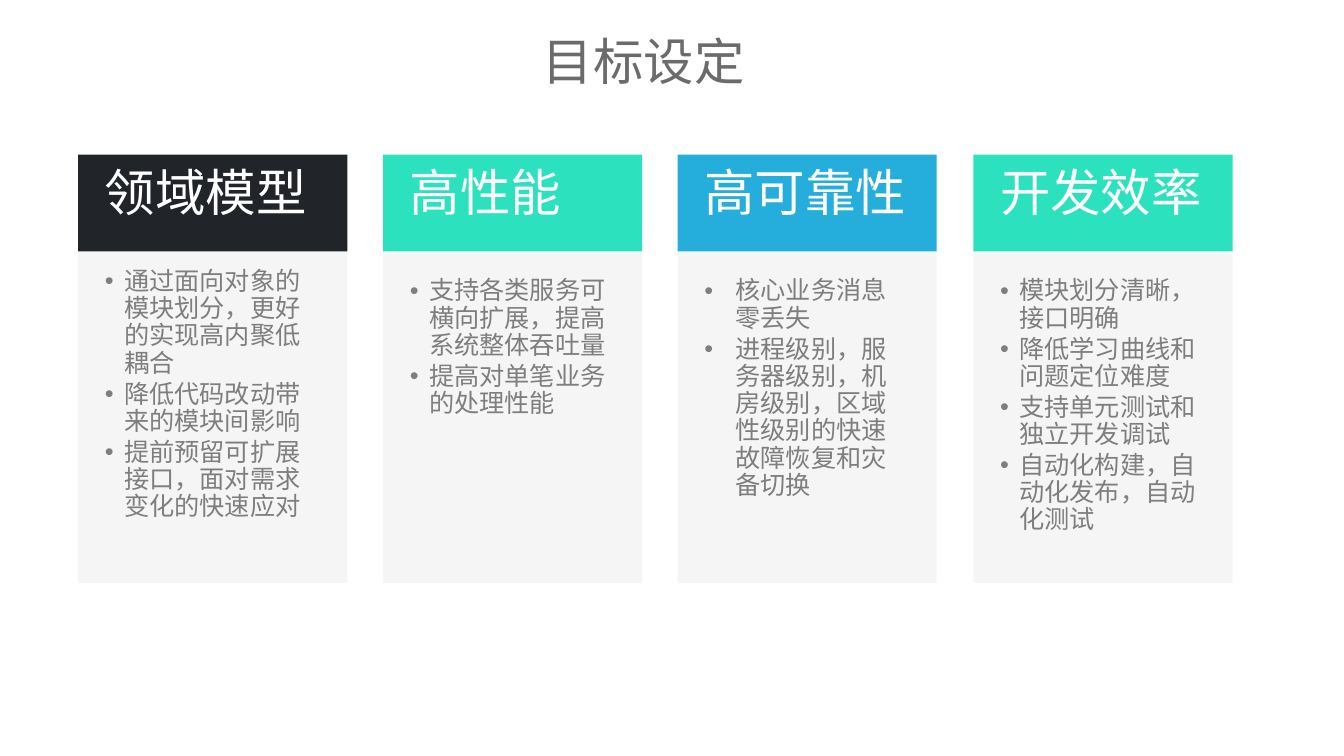
from lxml import etree
from pptx import Presentation
from pptx.dml.color import RGBColor
from pptx.enum.shapes import MSO_SHAPE
from pptx.enum.text import MSO_ANCHOR, MSO_AUTO_SIZE, PP_ALIGN
from pptx.oxml.ns import qn
from pptx.util import Inches, Pt

RECTANGLE = MSO_SHAPE.RECTANGLE
TOP, MIDDLE = MSO_ANCHOR.TOP, MSO_ANCHOR.MIDDLE
LEFT, CENTER = PP_ALIGN.LEFT, PP_ALIGN.CENTER
NO_AUTOFIT = MSO_AUTO_SIZE.NONE

FONT = "Noto Sans CJK SC"
COLORS = {
    "title": "6B6B6B", "body": "7E7E7E", "white": "FFFFFF", "panel": "A6A6A6",
    "dark": "212428", "green": "2CE1BE", "blue": "25AEDB",
}
COMPARISON_LAYOUT = 4  # a title and four body placeholders
HEADER_TOP, HEADER_HEIGHT, PANEL_BOTTOM = 3.07, 1.92, 11.57
HEADER_BOTTOM = HEADER_TOP + HEADER_HEIGHT
INSET, HEADER_INSET_TOP = 0.53, 0.27
PANEL_ALPHA = "10000"

# heading, colour, left, width, panel top, bullet indent, points
GOALS = [
    ("领域模型", "dark", 1.55, 5.34, 4.8, 0.38, [
        "通过面向对象的模块划分，更好的实现高内聚低耦合",
        "降低代码改动带来的模块间影响",
        "提前预留可扩展接口，面对需求变化的快速应对"]),
    ("高性能", "green", 7.6, 5.14, HEADER_BOTTOM, 0.38, [
        "支持各类服务可横向扩展，提高系统整体吞吐量",
        "提高对单笔业务的处理性能"]),
    ("高可靠性", "blue", 13.44, 5.14, HEADER_BOTTOM, 0.62, [
        "核心业务消息零丢失",
        "进程级别，服务器级别，机房级别，区域性级别的快速故障恢复和灾备切换"]),
    ("开发效率", "green", 19.31, 5.14, HEADER_BOTTOM, 0.38, [
        "模块划分清晰，接口明确",
        "降低学习曲线和问题定位难度",
        "支持单元测试和独立开发调试",
        "自动化构建，自动化发布，自动化测试"]),
]


def apply(target, values):
    for name, value in values.items():
        setattr(target, name, value)


class GoalSlide:
    paragraph_style = {"alignment": LEFT, "line_spacing": 0.9,
                       "space_before": Pt(0), "space_after": Pt(5.3)}

    def __init__(self, slide):
        self.slide = slide

    def place(self, shape, left, top, width, height):
        apply(shape, {"left": Inches(left), "top": Inches(top),
                      "width": Inches(width), "height": Inches(height)})

    def frame(self, shape, inset, inset_top, anchor=TOP, wrap=True):
        apply(shape.text_frame, {
            "auto_size": NO_AUTOFIT, "word_wrap": wrap, "vertical_anchor": anchor,
            "margin_left": Inches(inset), "margin_right": Inches(inset),
            "margin_top": Inches(inset_top), "margin_bottom": Inches(inset)})
        return shape.text_frame

    def add_text(self, paragraph, text, size, color, **layout):
        apply(paragraph, {**self.paragraph_style, **layout})
        run = paragraph.add_run()
        run.text = text
        apply(run.font, {"name": FONT, "size": Pt(size), "bold": False})
        run.font.color.rgb = RGBColor.from_string(COLORS[color])
        # East Asian typeface
        etree.SubElement(run.font._element, qn("a:ea"), typeface=FONT)

    def fill(self, shape, color, alpha=None):
        shape.fill.solid()
        shape.fill.fore_color.rgb = RGBColor.from_string(COLORS[color])
        if alpha:
            rgb = shape.fill._xPr.find(".//" + qn("a:srgbClr"))
            etree.SubElement(rgb, qn("a:alpha"), val=alpha)
        shape.line.fill.background()

    def title(self, text):
        title = self.slide.shapes.title
        self.place(title, 10.75, 0.59, 4.04, 1.21)
        frame = self.frame(title, 0, 0, MIDDLE, False)
        self.add_text(frame.paragraphs[0], text, 72, "title",
                      alignment=CENTER, line_spacing=1.0, space_after=Pt(0))

    def header(self, text, color, left, width):
        header = self.slide.shapes.add_shape(RECTANGLE, 0, 0, 0, 0)
        self.place(header, left, HEADER_TOP, width, HEADER_HEIGHT)
        header.shadow.inherit = False
        self.fill(header, color)
        frame = self.frame(header, INSET, HEADER_INSET_TOP)
        self.add_text(frame.paragraphs[0], text, 72, "white")

    def panel(self, panel, points, left, top, width, indent):
        self.place(panel, left, top, width, PANEL_BOTTOM - top)
        self.fill(panel, "panel", PANEL_ALPHA)
        frame = self.frame(panel, INSET, INSET)
        for number, point in enumerate(points):
            paragraph = frame.add_paragraph() if number else frame.paragraphs[0]
            properties = paragraph._p.get_or_add_pPr()
            properties.set("marL", str(Inches(indent)))
            properties.set("indent", str(-Inches(indent)))
            etree.SubElement(properties, qn("a:buFont"), typeface="Arial")
            etree.SubElement(properties, qn("a:buChar"), char="•")
            self.add_text(paragraph, point, 36, "body")


def main():
    presentation = Presentation()
    presentation.slide_width = Inches(26.66)
    presentation.slide_height = Inches(15)
    layout = presentation.slide_layouts[COMPARISON_LAYOUT]
    slide = presentation.slides.add_slide(layout)
    goals = GoalSlide(slide)

    goals.title("目标设定")

    # One column per goal: list panel below, coloured header above
    for number, goal in enumerate(GOALS, start=1):
        heading, color, left, width, top, indent, points = goal
        goals.panel(slide.placeholders[number], points, left, top, width, indent)
        goals.header(heading, color, left, width)

    presentation.save("out.pptx")


if __name__ == "__main__":
    main()
